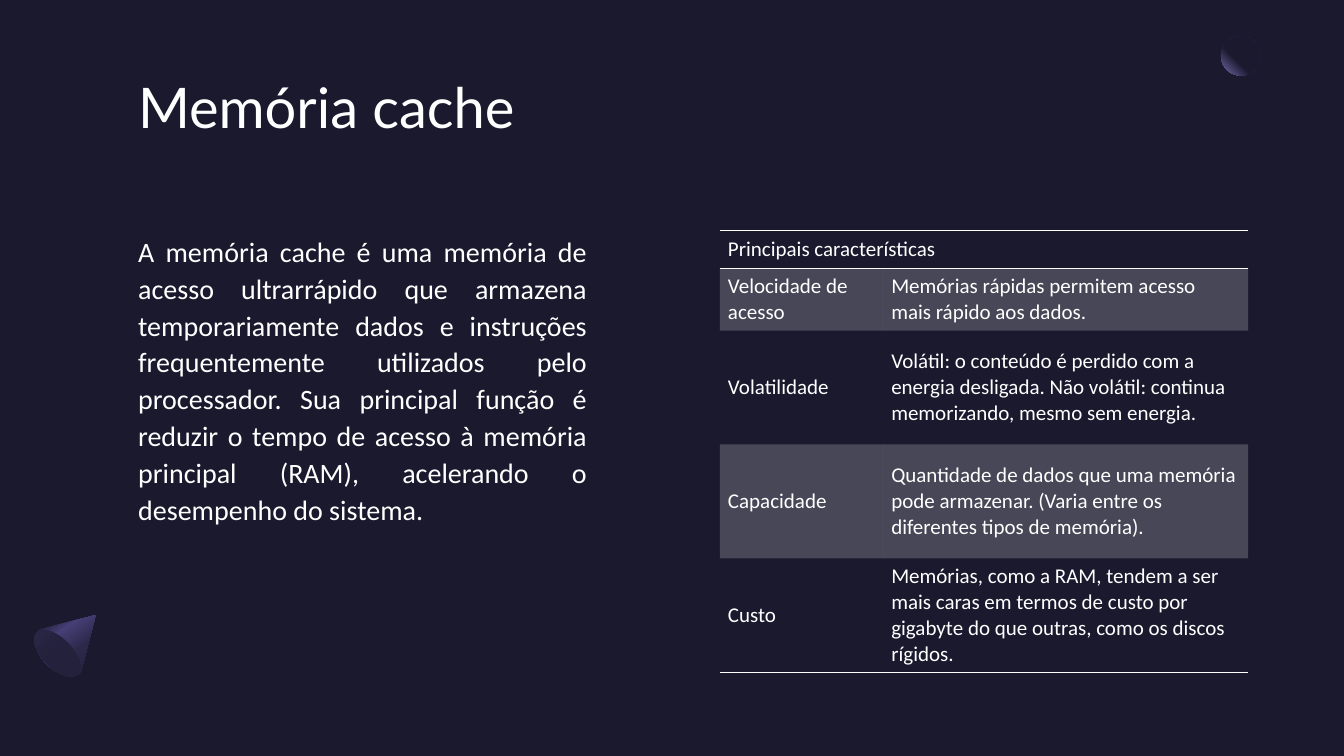
import math
from dataclasses import dataclass

import pptx
import pptx.dml.color
import pptx.enum.shapes
import pptx.enum.text
import pptx.oxml
import pptx.oxml.ns
import pptx.util
from pptx.util import Inches

qn = pptx.oxml.ns.qn
A_NS = pptx.oxml.ns.nsdecls("a")


@dataclass(frozen=True)
class Theme:
    bg: str = "1B192E"
    text: str = "FFFFFF"
    moon: str = "7771B2"
    cone: str = "2C284A"
    cone_light: str = "454075"
    cone_base: str = "23213C"
    title_font: str = "Lato"
    body_font: str = "Calibri"
    title_size: int = 40
    body_size: int = 20
    table_size: int = 15


THEME = Theme()
NO_STYLE = "{2D5ABB26-0587-4C30-8999-92F81FD0307C}"

BODY = (
    "A memória cache é uma memória de acesso ultrarrápido que armazena "
    "temporariamente dados e instruções frequentemente utilizados pelo "
    "processador. Sua principal função é reduzir o tempo de acesso à memória "
    "principal (RAM), acelerando o desempenho do sistema."
)
HEADING = "Principais características"
FEATURES = [
    ("Velocidade de acesso",
     "Memórias rápidas permitem acesso mais rápido aos dados."),
    ("Volatilidade",
     "Volátil: o conteúdo é perdido com a energia desligada. "
     "Não volátil: continua memorizando, mesmo sem energia."),
    ("Capacidade",
     "Quantidade de dados que uma memória pode armazenar. "
     "(Varia entre os diferentes tipos de memória)."),
    ("Custo",
     "Memórias, como a RAM, tendem a ser mais caras em termos de custo por "
     "gigabyte do que outras, como os discos rígidos."),
]


def rgb(color):
    return pptx.dml.color.RGBColor.from_string(color)


def add_run(p, text, size, font):
    r = p.add_run()
    r.text = text
    r.font.size = pptx.util.Pt(size)
    r.font.name = font
    r.font.color.rgb = rgb(THEME.text)


def add_text(s, box, text, size, font, insets=(0, 0, 0, 0)):
    tf = s.shapes.add_textbox(*map(Inches, box)).text_frame
    tf.word_wrap = True
    tf.margin_left, tf.margin_top, tf.margin_right, tf.margin_bottom = map(Inches, insets)
    p = tf.paragraphs[0]
    add_run(p, text, size, font)
    return p


def set_gradient(sp, stops, direction):
    """Fill with (percent, colour) stops; direction is the closing XML part."""
    sp.shadow.inherit = False
    sp.line.fill.background()
    sp.fill.background()
    stop_xml = "".join(
        f'<a:gs pos="{pos * 1000}"><a:srgbClr val="{color}"/></a:gs>' for pos, color in stops)
    gradient = pptx.oxml.parse_xml(
        f'<a:gradFill {A_NS} rotWithShape="1"><a:gsLst>{stop_xml}</a:gsLst>{direction}</a:gradFill>')
    spPr = sp.element.spPr
    spPr.replace(spPr.find(qn("a:noFill")), gradient)


def linear(degrees):
    return f'<a:lin ang="{degrees * 60000}" scaled="0"/>'


def add_ellipse(s, box, stops, direction, rotation=0):
    sp = s.shapes.add_shape(pptx.enum.shapes.MSO_SHAPE.OVAL, *map(Inches, box))
    sp.rotation = rotation
    set_gradient(sp, stops, direction)


def add_cone(s):
    # Upright cone with a half-ellipse base, then turned by 45 degrees
    cx, tip_y, base_y, rx, ry = 0.705, 6.0, 6.5, 0.295, 0.19
    steps = 24
    arc = [(Inches(cx + rx * math.cos(math.pi * i / steps)),
            Inches(base_y + ry * math.sin(math.pi * i / steps))) for i in range(steps + 1)]
    builder = s.shapes.build_freeform(Inches(cx), Inches(tip_y))
    builder.add_line_segments(arc, close=True)
    sp = builder.convert_to_shape()
    sp.rotation = 45
    set_gradient(sp, [(30, THEME.cone), (40, THEME.cone_light),
                      (60, THEME.cone), (100, THEME.bg)], linear(10))
    add_ellipse(s, (0.42, 6.19, 0.3, 0.59),
                [(50, THEME.cone_base), (100, THEME.cone)], linear(90), rotation=135)


def set_border(cell, side):
    cell._tc.get_or_add_tcPr().append(pptx.oxml.parse_xml(
        f'<a:ln{side} {A_NS} w="12700"><a:solidFill><a:srgbClr val="{THEME.text}"/>'
        f'</a:solidFill></a:ln{side}>'))


def fill_cell(cell, text, shaded):
    cell.vertical_anchor = pptx.enum.text.MSO_ANCHOR.MIDDLE
    cell.margin_left = cell.margin_right = Inches(0.08)
    cell.margin_top = cell.margin_bottom = Inches(0.04)
    if text:
        add_run(cell.text_frame.paragraphs[0], text, THEME.table_size, THEME.body_font)
    if shaded:
        cell.fill.solid()
        cell.fill.fore_color.rgb = rgb(THEME.text)
        color = cell._tc.tcPr.find(qn("a:solidFill"))[0]
        color.append(pptx.oxml.parse_xml(f'<a:alpha {A_NS} val="20000"/>'))
    else:
        cell.fill.background()


def add_features_table(s):
    rows = [(HEADING, "")] + FEATURES
    frame = s.shapes.add_table(len(rows), 2, *map(Inches, (7.14, 2.29, 5.24, 4.37)))
    table = frame.table
    table.first_row = table.horz_banding = False
    table._tbl.tblPr.find(qn("a:tableStyleId")).text = NO_STYLE
    for col, width in zip(table.columns, (1.62, 3.62)):
        col.width = Inches(width)
    for row, height in zip(table.rows, (0.37, 0.62, 1.13, 1.13, 1.13)):
        row.height = Inches(height)

    borders = {0: "TB", len(rows) - 1: "B"}
    for i, texts in enumerate(rows):
        for j, text in enumerate(texts):
            cell = table.cell(i, j)
            for side in borders.get(i, ""):
                set_border(cell, side)
            fill_cell(cell, text, shaded=i % 2 == 1)
    table.cell(0, 0).merge(table.cell(0, 1))


def main():
    prs = pptx.Presentation()
    prs.slide_width, prs.slide_height = Inches(13.33), Inches(7.5)
    s = prs.slides.add_slide(prs.slide_layouts[6])
    s.background.fill.solid()
    s.background.fill.fore_color.rgb = rgb(THEME.bg)

    # Decorations: moon at the top right, cone at the bottom left
    add_ellipse(s, (12.11, 0.36, 0.39, 0.39), [(60, THEME.bg), (100, THEME.moon)],
                '<a:path path="circle"><a:fillToRect l="100000" b="100000"/></a:path>')
    add_cone(s)

    # Title and explanation
    add_text(s, (1.37, 0.72, 12.13, 1.46), "Memória cache",
             THEME.title_size, THEME.title_font)
    p = add_text(s, (1.37, 2.29, 4.55, 4.37), BODY,
                 THEME.body_size, THEME.body_font, (0, 0, 0.1, 0.05))
    p.alignment = pptx.enum.text.PP_ALIGN.JUSTIFY
    p.line_spacing = 1.1
    p.space_after = pptx.util.Pt(8)

    # Main characteristics
    add_features_table(s)

    prs.save("out.pptx")


if __name__ == "__main__":
    main()
